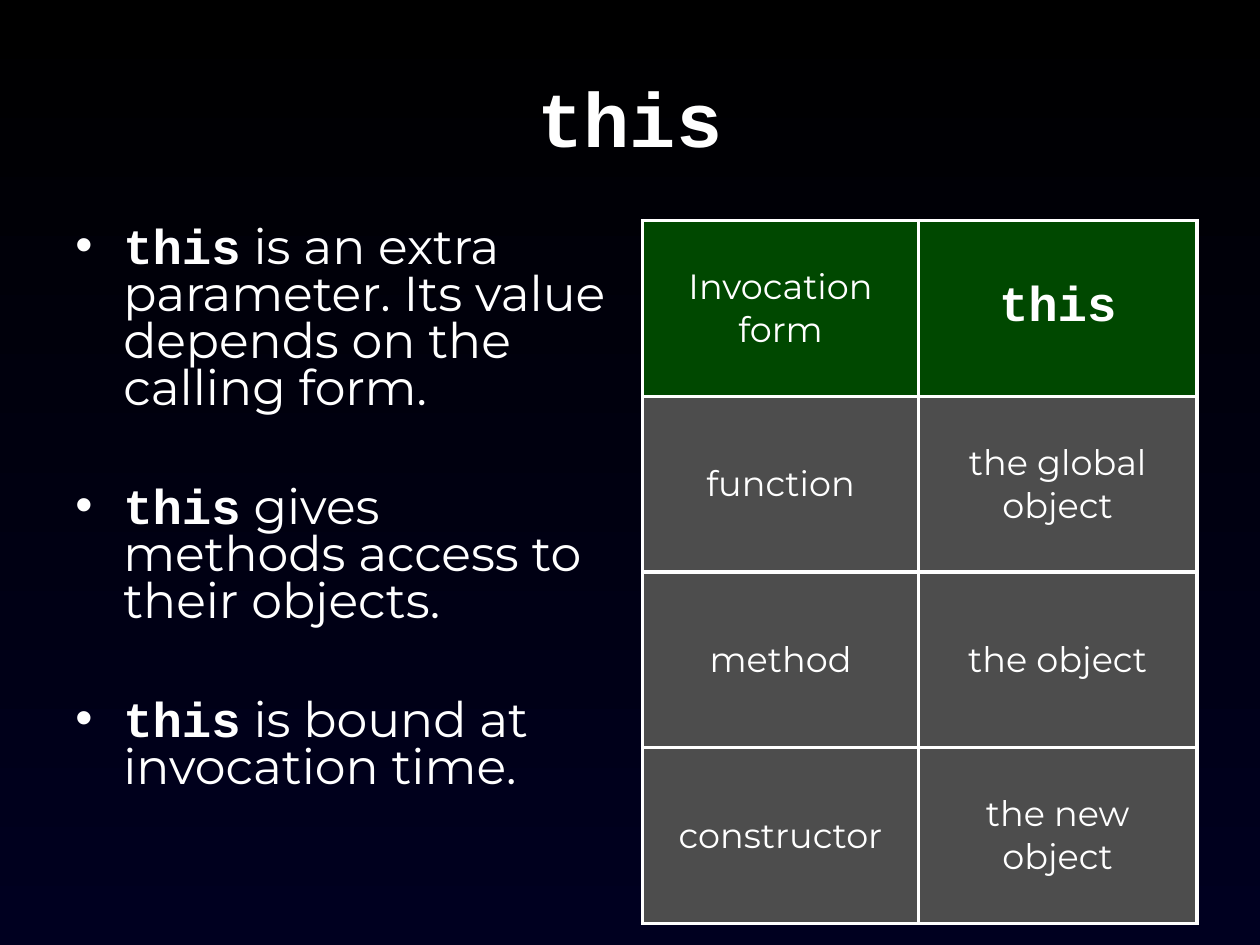
import pptx
import pptx.dml.color
import pptx.enum.text
import pptx.oxml
import pptx.util
from pptx.util import Inches

COLORS = {
    "text": "FFFFFF",
    "header": "004800",
    "cell": "4D4D4D",
    "bg_top": "000000",
    "bg_bottom": "000020",
}
DRAWING_NS = 'xmlns:a="http://schemas.openxmlformats.org/drawingml/2006/main"'
CENTER = pptx.enum.text.PP_ALIGN.CENTER
MIDDLE = pptx.enum.text.MSO_ANCHOR.MIDDLE


def rgb(name):
    return pptx.dml.color.RGBColor.from_string(COLORS[name])


class SlideBuilder:
    code = {"name": "Courier New", "bold": True}
    prose = {"name": "Montserrat", "bold": False}

    def __init__(self, slide):
        self.slide = slide

    def background(self):
        fill = self.slide.background.fill
        fill.gradient()
        fill.gradient_angle = 270
        stops = zip(fill.gradient_stops, ("bg_top", "bg_bottom"), (0, 1))
        for stop, color, position in stops:
            stop.color.rgb = rgb(color)
            stop.position = position

    def run(self, paragraph, text, size, style):
        run = paragraph.add_run()
        run.text = text
        for attribute, value in {**style, "size": pptx.util.Pt(size)}.items():
            setattr(run.font, attribute, value)
        run.font.color.rgb = rgb("text")

    def title(self, text, left, top, width, height):
        title = self.slide.shapes.title
        box = {"left": left, "top": top, "width": width, "height": height}
        for attribute, value in box.items():
            setattr(title, attribute, Inches(value))
        frame = title.text_frame
        frame.auto_size = pptx.enum.text.MSO_AUTO_SIZE.NONE
        frame.vertical_anchor = MIDDLE
        frame.paragraphs[0].alignment = CENTER
        self.run(frame.paragraphs[0], text, 44, self.code)

    def bullets(self, items, *box):
        frame = self.slide.shapes.add_textbox(*map(Inches, box)).text_frame
        frame.word_wrap = True
        for index, (keyword, explanation) in enumerate(items):
            paragraph = frame.add_paragraph() if index else frame.paragraphs[0]
            paragraph.line_spacing = 0.8
            if index:
                paragraph.space_before = pptx.util.Pt(41)
            properties = paragraph._p.get_or_add_pPr()
            properties.set("marL", str(Inches(0.38)))
            properties.set("indent", str(Inches(-0.38)))
            for bullet in (
                f'<a:buClr {DRAWING_NS}><a:srgbClr val="{COLORS["text"]}"/></a:buClr>',
                f'<a:buFont {DRAWING_NS} typeface="Arial"/>',
                f'<a:buChar {DRAWING_NS} char="•"/>',
            ):
                properties.append(pptx.oxml.parse_xml(bullet))
            self.run(paragraph, keyword, 28, self.code)
            self.run(paragraph, explanation, 28, self.prose)

    def borders(self, cell):
        properties = cell._tc.get_or_add_tcPr()
        for side in "LRTB":
            properties.append(pptx.oxml.parse_xml(
                f'<a:ln{side} {DRAWING_NS} w="{pptx.util.Pt(2.21)}"><a:solidFill>'
                f'<a:srgbClr val="{COLORS["text"]}"/></a:solidFill></a:ln{side}>'))

    def table(self, rows, column_widths, *box):
        table = self.slide.shapes.add_table(
            len(rows), len(column_widths), *map(Inches, box)).table
        for column, width in zip(table.columns, column_widths):
            column.width = Inches(width)
        for row_index, row in enumerate(rows):
            for column_index, text in enumerate(row):
                cell = table.cell(row_index, column_index)
                self.borders(cell)
                cell.fill.solid()
                cell.fill.fore_color.rgb = rgb("cell" if row_index else "header")
                cell.vertical_anchor = MIDDLE
                paragraph = cell.text_frame.paragraphs[0]
                paragraph.alignment = CENTER
                size, style = (28, self.code) if text == "this" else (20, self.prose)
                self.run(paragraph, text, size, style)


def main():
    deck = pptx.Presentation()
    deck.slide_width, deck.slide_height = Inches(10), Inches(7.5)
    builder = SlideBuilder(deck.slides.add_slide(deck.slide_layouts[5]))
    builder.background()

    # Heading
    builder.title("this", 0.5, 0.3, 9, 1.25)

    # Explanation of the keyword
    builder.bullets([
        ("this", " is an extra parameter. Its value depends on the calling form."),
        ("this", " gives methods access to their objects."),
        ("this", " is bound at invocation time."),
    ], 0.5, 1.75, 4.42, 5.58)

    # Value of the keyword for each invocation form
    builder.table([
        ("Invocation form", "this"),
        ("function", "the global object"),
        ("method", "the object"),
        ("constructor", "the new object"),
    ], (2.19, 2.21), 5.1, 1.75, 4.4, 5.58)

    deck.save("out.pptx")


if __name__ == "__main__":
    main()
